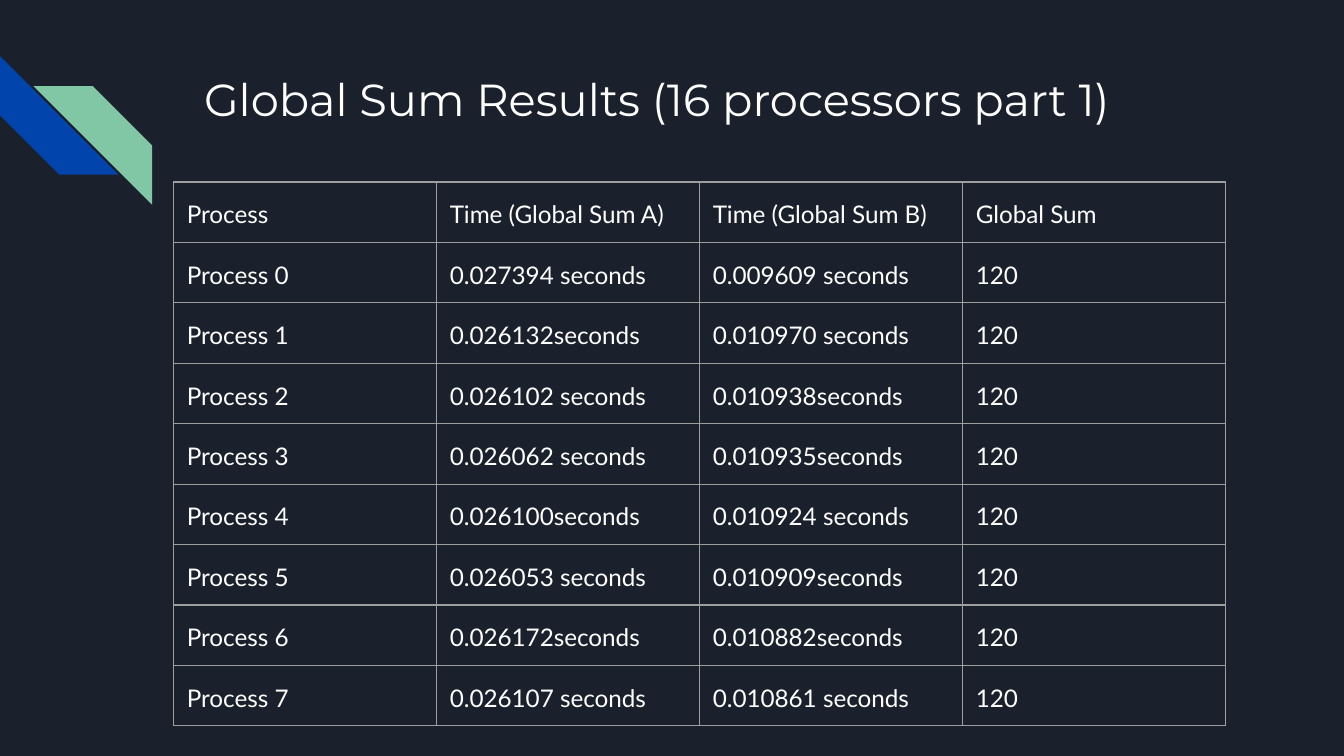
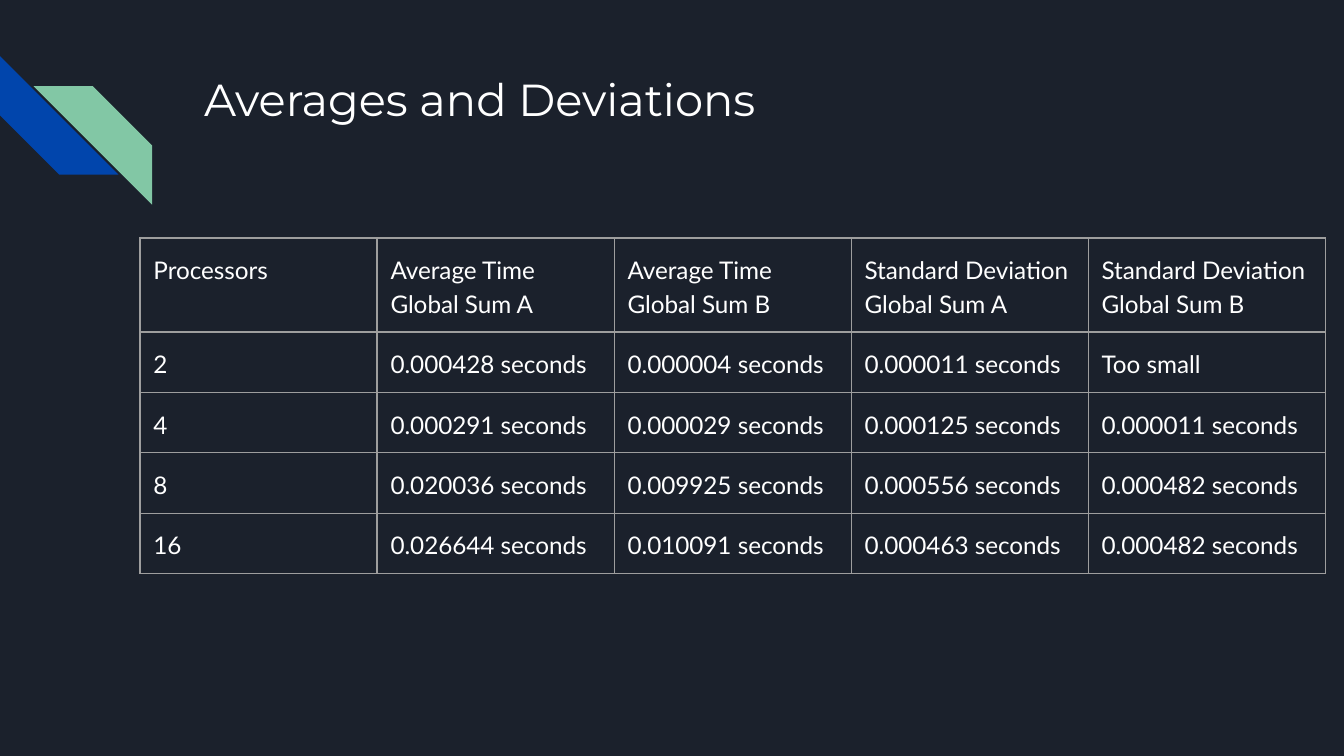
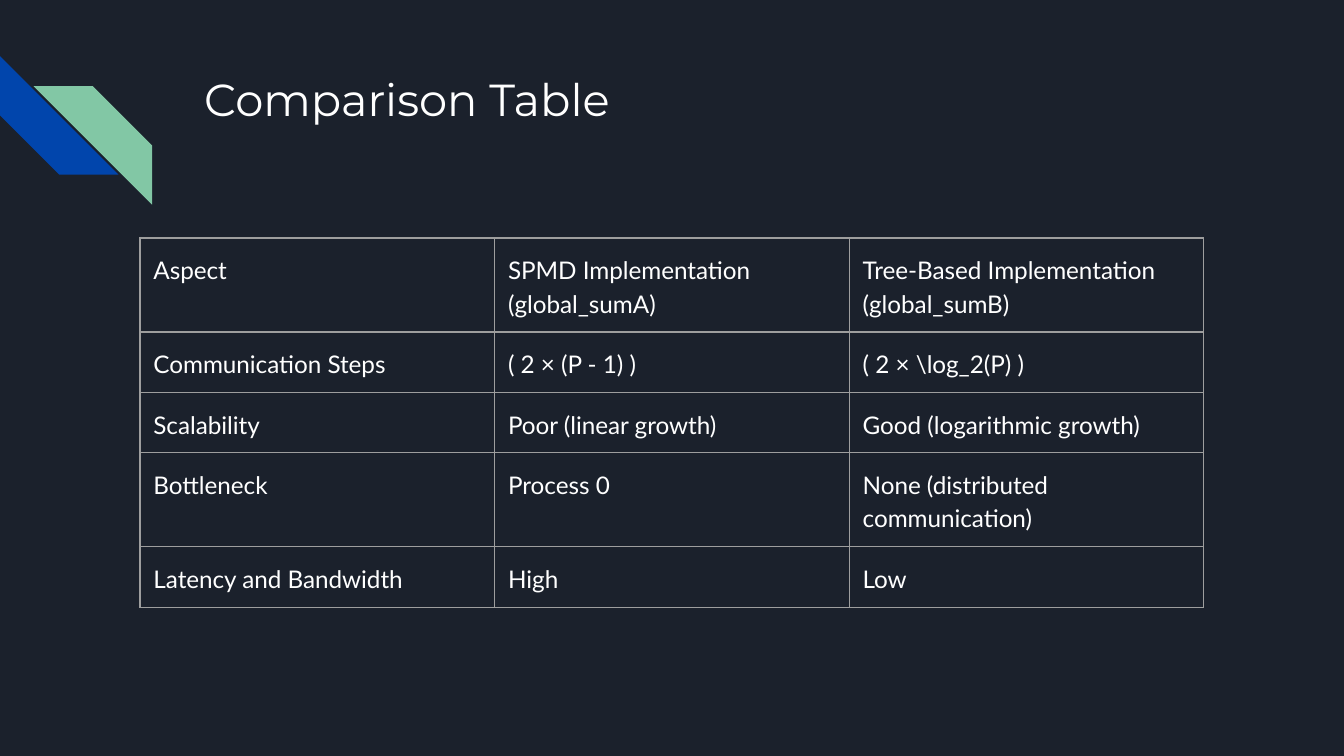
from lxml import etree
from pptx import Presentation
from pptx.dml.color import RGBColor
from pptx.enum import shapes
from pptx.oxml.ns import qn
from pptx.util import Pt

NAVY, BLUE, GREEN, WHITE, GREY = "1B212C", "0145AC", "82C7A5", "FFFFFF", "9E9E9E"
INSET = 7.2
ROW_HEIGHT = 30.6

# left, top, rotation, colour
STRIPES = [(0, 30, 270, BLUE), (18, 46.2, 90, GREEN)]
STRIPE_SIZE = 63.5

SLIDES = [
    {
        "title": "Global Sum Results (16 processors part 1)",
        "left": 92.9, "top": 97.5, "column_width": 140.9,
        "rows": [
            ("Process", "Time (Global Sum A)", "Time (Global Sum B)", "Global Sum"),
            ("Process 0", "0.027394 seconds", "0.009609 seconds", "120"),
            ("Process 1", "0.026132seconds", "0.010970 seconds", "120"),
            ("Process 2", "0.026102 seconds", "0.010938seconds", "120"),
            ("Process 3", "0.026062 seconds", "0.010935seconds", "120"),
            ("Process 4", "0.026100seconds", "0.010924 seconds", "120"),
            ("Process 5", "0.026053 seconds", "0.010909seconds", "120"),
            ("Process 6", "0.026172seconds", "0.010882seconds", "120"),
            ("Process 7", "0.026107 seconds", "0.010861 seconds", "120"),
        ],
    },
    {
        "title": "Averages and Deviations",
        "left": 75, "top": 127.5, "column_width": 127,
        "rows": [
            ("Processors", "Average Time Global Sum A", "Average Time Global Sum B",
             "Standard Deviation Global Sum A", "Standard Deviation Global Sum B"),
            ("2", "0.000428 seconds", "0.000004 seconds", "0.000011 seconds", "Too small"),
            ("4", "0.000291 seconds", "0.000029 seconds", "0.000125 seconds", "0.000011 seconds"),
            ("8", "0.020036 seconds", "0.009925 seconds", "0.000556 seconds", "0.000482 seconds"),
            ("16", "0.026644 seconds", "0.010091 seconds", "0.000463 seconds", "0.000482 seconds"),
        ],
    },
    {
        "title": "Comparison Table",
        "left": 75, "top": 127.5, "column_width": 190,
        "rows": [
            ("Aspect", "SPMD Implementation (global_sumA)",
             "Tree-Based Implementation (global_sumB)"),
            ("Communication Steps", "( 2 × (P - 1) )", "( 2 × \\log_2(P) )"),
            ("Scalability", "Poor (linear growth)", "Good (logarithmic growth)"),
            ("Bottleneck", "Process 0", "None (distributed communication)"),
            ("Latency and Bandwidth", "High", "Low"),
        ],
    },
]


def paint(fill, colour):
    fill.solid()
    fill.fore_color.rgb = RGBColor.from_string(colour)


def style_font(font, name, size):
    font.name, font.size = name, Pt(size)
    font.color.rgb = RGBColor.from_string(WHITE)


def set_margins(holder):
    """Give a text frame or a table cell the same inset on all sides."""
    holder.margin_left = holder.margin_right = Pt(INSET)
    holder.margin_top = holder.margin_bottom = Pt(INSET)


def add_base(deck, title):
    """Add a slide with its background, corner stripes and title."""
    page = deck.slides.add_slide(deck.slide_layouts[6])
    paint(page.background.fill, NAVY)
    for left, top, rotation, colour in STRIPES:
        stripe = page.shapes.add_shape(shapes.MSO_SHAPE.DIAGONAL_STRIPE, Pt(left), Pt(top),
                                       Pt(STRIPE_SIZE), Pt(STRIPE_SIZE))
        stripe.rotation = rotation
        stripe.shadow.inherit = False
        stripe.line.fill.background()
        paint(stripe.fill, colour)
    box = page.shapes.add_textbox(Pt(102.3), Pt(31), Pt(554.4), Pt(72))
    frame = box.text_frame
    frame.word_wrap = True
    set_margins(frame)
    frame.text = title
    style_font(frame.paragraphs[0].font, "Montserrat", 24)
    return page


def add_borders(cell):
    properties = cell._tc.get_or_add_tcPr()
    for side in ("a:lnL", "a:lnR", "a:lnT", "a:lnB"):
        line = etree.SubElement(properties, qn(side), w=str(Pt(0.75)))
        solid = etree.SubElement(line, qn("a:solidFill"))
        etree.SubElement(solid, qn("a:srgbClr"), val=GREY)


def fill_cell(cell, content):
    set_margins(cell)
    add_borders(cell)
    cell.fill.background()
    cell.text = content
    para = cell.text_frame.paragraphs[0]
    para.line_spacing = 1.15
    para.space_after = Pt(12)
    style_font(para.font, "Lato", 13)


def add_grid(page, rows, left, top, column_width):
    columns = len(rows[0])
    table = page.shapes.add_table(len(rows), columns, Pt(left), Pt(top),
                                  Pt(column_width * columns),
                                  Pt(ROW_HEIGHT * len(rows))).table
    table.first_row = table.horz_banding = False
    for row, contents in zip(table.rows, rows):
        for cell, content in zip(row.cells, contents):
            fill_cell(cell, content)


def main():
    deck = Presentation()
    deck.slide_width, deck.slide_height = Pt(720), Pt(405)
    for slide in SLIDES:
        page = add_base(deck, slide["title"])
        add_grid(page, slide["rows"], slide["left"], slide["top"], slide["column_width"])
    deck.save("out.pptx")


if __name__ == "__main__":
    main()
